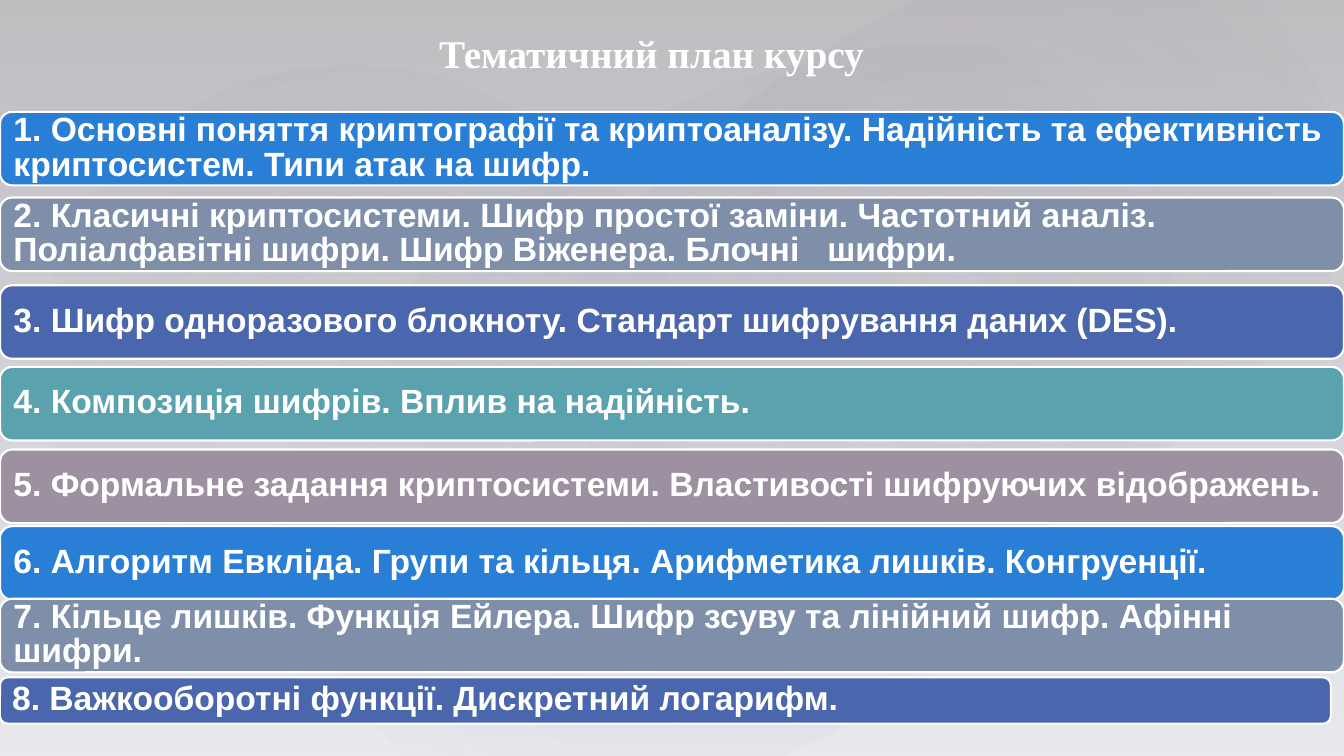
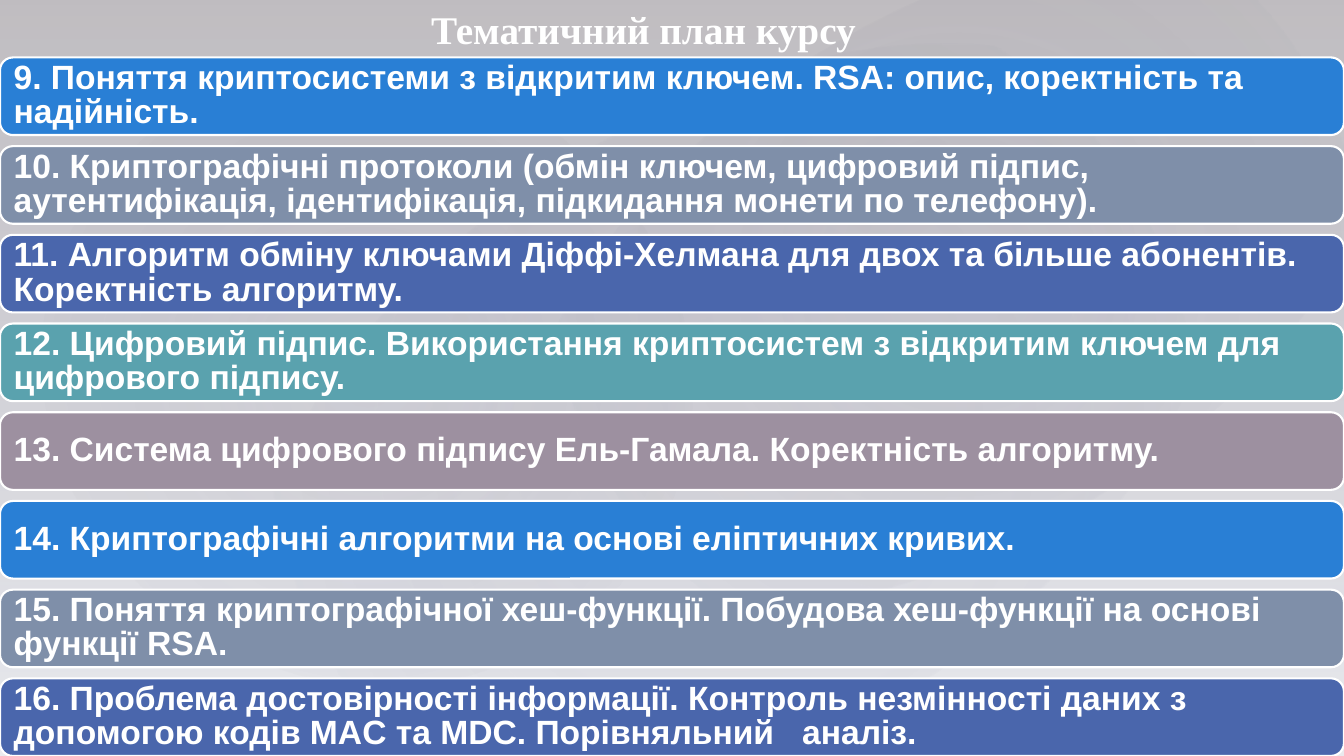
"""Build the two course plan slides."""
from dataclasses import dataclass

from pptx import Presentation
from pptx.dml.color import RGBColor
from pptx.enum.shapes import MSO_SHAPE
from pptx.enum.text import MSO_ANCHOR, MSO_AUTO_SIZE, PP_ALIGN
from pptx.oxml import parse_xml
from pptx.oxml.ns import nsdecls
from pptx.util import Inches, Pt

RECTANGLE = MSO_SHAPE.RECTANGLE
ELLIPSE = MSO_SHAPE.OVAL
ROUNDED = MSO_SHAPE.ROUNDED_RECTANGLE
MIDDLE = MSO_ANCHOR.MIDDLE
BOTTOM = MSO_ANCHOR.BOTTOM
NO_AUTOFIT = MSO_AUTO_SIZE.NONE
LEFT = PP_ALIGN.LEFT
CENTER = PP_ALIGN.CENTER

WHITE = RGBColor(0xFF, 0xFF, 0xFF)
PLUM = RGBColor(0x4F, 0x46, 0x51)
NAVY = RGBColor(0x24, 0x28, 0x52)
MIST = RGBColor(0xC3, 0xBC, 0xC5)
BAND_COLORS = (
    RGBColor(0x29, 0x7F, 0xD5),
    RGBColor(0x7F, 0x8F, 0xA9),
    RGBColor(0x4A, 0x66, 0xAC),
    RGBColor(0x5A, 0xA2, 0xAE),
    RGBColor(0x9D, 0x90, 0xA0),
)

TITLE_FONT = "Times New Roman"
BODY_FONT = "Arial"
SLIDE_WIDTH = 13.33
SLIDE_HEIGHT = 7.5
TITLE_WIDTH = 11.32
LINEAR = '<a:lin ang="5400000" scaled="0"/>'
RADIAL = (
    '<a:path path="circle">'
    '<a:fillToRect l="50000" t="50000" r="50000" b="50000"/></a:path>'
)


@dataclass(frozen=True)
class Stop:
    """A gradient stop, with position and opacity in percent."""
    position: int
    color: RGBColor
    opacity: int


@dataclass(frozen=True)
class Glow:
    """A soft background ellipse."""
    left: float
    top: float
    width: float
    height: float
    rotation: float
    opacity: int


@dataclass(frozen=True)
class Band:
    """One topic band."""
    top: float
    text: str
    height: float
    width: float = SLIDE_WIDTH


@dataclass(frozen=True)
class Plan:
    """The content of one slide."""
    title_left: float
    title_top: float
    title_height: float
    bands: tuple[Band, ...]


GLOWS = (
    Glow(2, 1.14, 10.56, 6.24, 328.7, 7),
    Glow(0.61, 0.46, 6.06, 6.53, 294.3, 8),
    Glow(4.78, 0.13, 9.45, 5.2, 328.7, 8),
)

TITLE = "Тематичний план курсу "
FIRST_HEIGHT = 0.73
SECOND_HEIGHT = 0.77
SECOND_TOP = 0.57
SECOND_PITCH = 0.88
SECOND_TOPICS = (
    "9. Поняття криптосистеми з відкритим ключем. RSA: опис, коректність та надійність.",
    "10. Криптографічні протоколи (обмін ключем, цифровий підпис, аутентифікація, "
    "ідентифікація, підкидання монети по телефону).",
    "11. Алгоритм обміну ключами Діффі-Хелмана для двох та більше абонентів. "
    "Коректність алгоритму.",
    "12. Цифровий підпис. Використання криптосистем з відкритим ключем для "
    "цифрового підпису.",
    "13. Система цифрового підпису Ель-Гамала. Коректність алгоритму.",
    "14. Криптографічні алгоритми на основі еліптичних кривих.",
    "15. Поняття криптографічної хеш-функції. Побудова хеш-функції на основі функції RSA.",
    "16. Проблема достовірності інформації. Контроль незмінності даних з допомогою "
    "кодів MAC та MDC. Порівняльний   аналіз.",
)

PLANS = (
    Plan(0.85, 0, 0.81, (
        Band(1.11, "1. Основні поняття криптографії та криптоаналізу. Надійність та "
             "ефективність криптосистем. Типи атак на шифр.", FIRST_HEIGHT),
        Band(1.96, "2. Класичні криптосистеми. Шифр простої заміни. Частотний аналіз. "
             "Поліалфавітні шифри. Шифр Віженера. Блочні   шифри.", FIRST_HEIGHT),
        Band(2.83, "3. Шифр одноразового блокноту. Стандарт шифрування даних (DES).",
             FIRST_HEIGHT),
        Band(3.64, "4. Композиція шифрів. Вплив на надійність.", FIRST_HEIGHT),
        Band(4.46, "5. Формальне задання криптосистеми. Властивості шифруючих "
             "відображень.", FIRST_HEIGHT),
        Band(5.22, "6. Алгоритм Евкліда. Групи та кільця. Арифметика лишків. "
             "Конгруенції.", FIRST_HEIGHT),
        Band(5.94, "7. Кільце лишків. Функція Ейлера. Шифр зсуву та лінійний шифр. "
             "Афінні шифри.", FIRST_HEIGHT),
        Band(6.72, "8. Важкооборотні функції. Дискретний логарифм.", 0.46, 13.2),
    )),
    Plan(0.77, -0.19, 0.76, tuple(
        Band(SECOND_TOP + SECOND_PITCH * index, topic, SECOND_HEIGHT)
        for index, topic in enumerate(SECOND_TOPICS)
    )),
)


def add_box(slide, kind, left: float, top: float, width: float, height: float):
    """Add a preset shape without a shadow."""
    box = slide.shapes.add_shape(
        kind, Inches(left), Inches(top), Inches(width), Inches(height))
    box.shadow.inherit = False
    return box


def fill_gradient(box, stops: tuple[Stop, ...], direction: str) -> None:
    """Give a box a translucent gradient and no outline."""
    box.line.fill.background()
    box.fill.background()
    stop_list = "".join(
        f'<a:gs pos="{stop.position * 1000}"><a:srgbClr val="{stop.color}">'
        f'<a:alpha val="{stop.opacity * 1000}"/></a:srgbClr></a:gs>'
        for stop in stops
    )
    gradient = parse_xml(
        f'<a:gradFill {nsdecls("a")} rotWithShape="1">'
        f"<a:gsLst>{stop_list}</a:gsLst>{direction}</a:gradFill>")
    properties = box.element.spPr
    properties.replace(properties.find("{*}noFill"), gradient)


def move_to_layout(box, layout, index: int) -> None:
    """Move a background box from its slide to the shared layout."""
    box.element.nvSpPr.cNvPr.set("id", str(100 + index))
    layout.shapes.element.insert(2 + index, box.element)


def add_background(slide, layout) -> None:
    """Put the shared gradient and glows on the layout."""
    backdrop = add_box(slide, RECTANGLE, 0, 0, SLIDE_WIDTH, SLIDE_HEIGHT)
    fill_gradient(backdrop, (Stop(0, PLUM, 36), Stop(100, NAVY, 10)), LINEAR)
    move_to_layout(backdrop, layout, 0)
    for index, glow in enumerate(GLOWS, start=1):
        ellipse = add_box(
            slide, ELLIPSE, glow.left, glow.top, glow.width, glow.height)
        ellipse.rotation = glow.rotation
        stops = (Stop(0, MIST, glow.opacity), Stop(58, NAVY, 0), Stop(100, NAVY, 0))
        fill_gradient(ellipse, stops, RADIAL)
        move_to_layout(ellipse, layout, index)


def write_text(box, text: str, font: str, size: int, anchor, alignment) -> None:
    """Write one bold white paragraph in a box."""
    frame = box.text_frame
    frame.text = text
    frame.word_wrap = True
    frame.auto_size = NO_AUTOFIT
    frame.vertical_anchor = anchor
    para = frame.paragraphs[0]
    para.alignment = alignment
    span = para.runs[0]
    span.font.name = font
    span.font.size = Pt(size)
    span.font.bold = True
    span.font.color.rgb = WHITE


def place_title(slide, plan: Plan) -> None:
    """Move and format the title placeholder."""
    title = slide.shapes.title
    title.left, title.top = Inches(plan.title_left), Inches(plan.title_top)
    title.width, title.height = Inches(TITLE_WIDTH), Inches(plan.title_height)
    write_text(title, TITLE, TITLE_FONT, 28, BOTTOM, CENTER)


def add_band(slide, band: Band, color: RGBColor) -> None:
    """Draw one topic band."""
    box = add_box(slide, ROUNDED, 0, band.top, band.width, band.height)
    box.fill.solid()
    box.fill.fore_color.rgb = color
    box.line.color.rgb = WHITE
    box.line.width = Pt(1.5)
    write_text(box, band.text, BODY_FONT, 24, MIDDLE, LEFT)
    box.text_frame.paragraphs[0].line_spacing = 0.85


def main() -> None:
    """Build and save the deck."""
    deck = Presentation()
    deck.slide_width = Inches(SLIDE_WIDTH)
    deck.slide_height = Inches(SLIDE_HEIGHT)
    layout = deck.slide_layouts.get_by_name("Title Only")
    pages = [deck.slides.add_slide(layout) for _ in PLANS]
    add_background(pages[0], layout)
    for page, plan in zip(pages, PLANS):
        place_title(page, plan)
        for index, band in enumerate(plan.bands):
            add_band(page, band, BAND_COLORS[index % len(BAND_COLORS)])
    deck.save("out.pptx")


if __name__ == "__main__":
    main()
